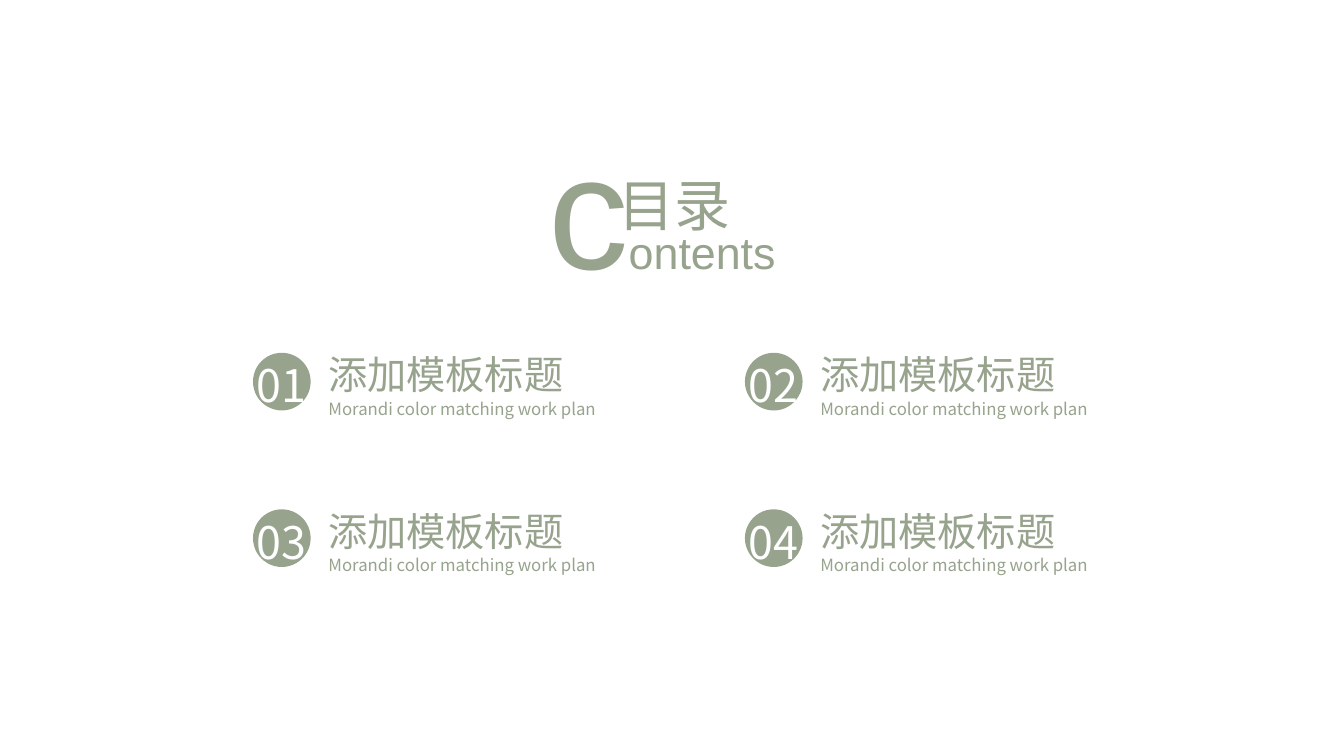
from pptx import Presentation
from pptx.dml.color import RGBColor
from pptx.enum.shapes import MSO_SHAPE
from pptx.enum.text import MSO_AUTO_SIZE, PP_ALIGN
from pptx.oxml.ns import qn
from pptx.util import Pt
from lxml.etree import SubElement

SAGE = RGBColor(0x97, 0xA3, 0x8D)
WHITE = RGBColor(0xFF, 0xFF, 0xFF)
LATIN_FONT = "Arial"
CJK_FONT = "Noto Sans CJK JP"

COLUMN_STEP, ROW_STEP = 351.4, 111.8
TOPICS = ["添加模板标题"] * 4
SUBTITLE = "Morandi color matching work plan"


class ContentsSlide:
    def __init__(self, deck):
        self.slide = deck.slides.add_slide(deck.slide_layouts[6])

    def text(self, left, top, width, height, runs, font=CJK_FONT,
             color=SAGE, align=PP_ALIGN.JUSTIFY):
        """Add one paragraph made of (wording, size) runs."""
        box = self.slide.shapes.add_textbox(Pt(left), Pt(top), Pt(width), Pt(height))
        frame = box.text_frame
        frame.word_wrap = True
        frame.auto_size = MSO_AUTO_SIZE.SHAPE_TO_FIT_TEXT
        paragraph = frame.paragraphs[0]
        paragraph.alignment = align
        for wording, size in runs:
            run = paragraph.add_run()
            run.text = wording
            run.font.size = Pt(size)
            run.font.color.rgb = color
            run.font.name = font
            east_asian = SubElement(run.font._element, qn("a:ea"))
            east_asian.set("typeface", font)

    def disc(self, left, top, size):
        disc = self.slide.shapes.add_shape(
            MSO_SHAPE.OVAL, Pt(left), Pt(top), Pt(size), Pt(size))
        disc.shadow.inherit = False
        disc.fill.solid()
        disc.fill.fore_color.rgb = SAGE
        disc.line.fill.background()

    def topic(self, left, top, number, title):
        self.disc(left + 5.7, top + 5, 41.2)
        self.text(left, top + 5, 52.6, 46, [(f"{number:02}", 32)],
                  color=WHITE, align=PP_ALIGN.CENTER)
        self.text(left + 52.5, top, 201, 41, [(title, 28)])
        self.text(left + 52.5, top + 34, 206, 21.6, [(SUBTITLE, 12)],
                  align=PP_ALIGN.LEFT)


def main():
    deck = Presentation()
    deck.slide_width, deck.slide_height = Pt(960), Pt(540)
    contents = ContentsSlide(deck)
    contents.text(384.5, 74.2, 190.8, 146.9, [("c", 115), ("ontents", 32)],
                  font=LATIN_FONT)
    contents.text(434.9, 118.1, 140.4, 55.4, [("目录", 40)])
    for index, title in enumerate(TOPICS):
        row, column = divmod(index, 2)
        contents.topic(175 + column * COLUMN_STEP, 247 + row * ROW_STEP,
                       index + 1, title)
    deck.save("out.pptx")


if __name__ == "__main__":
    main()
